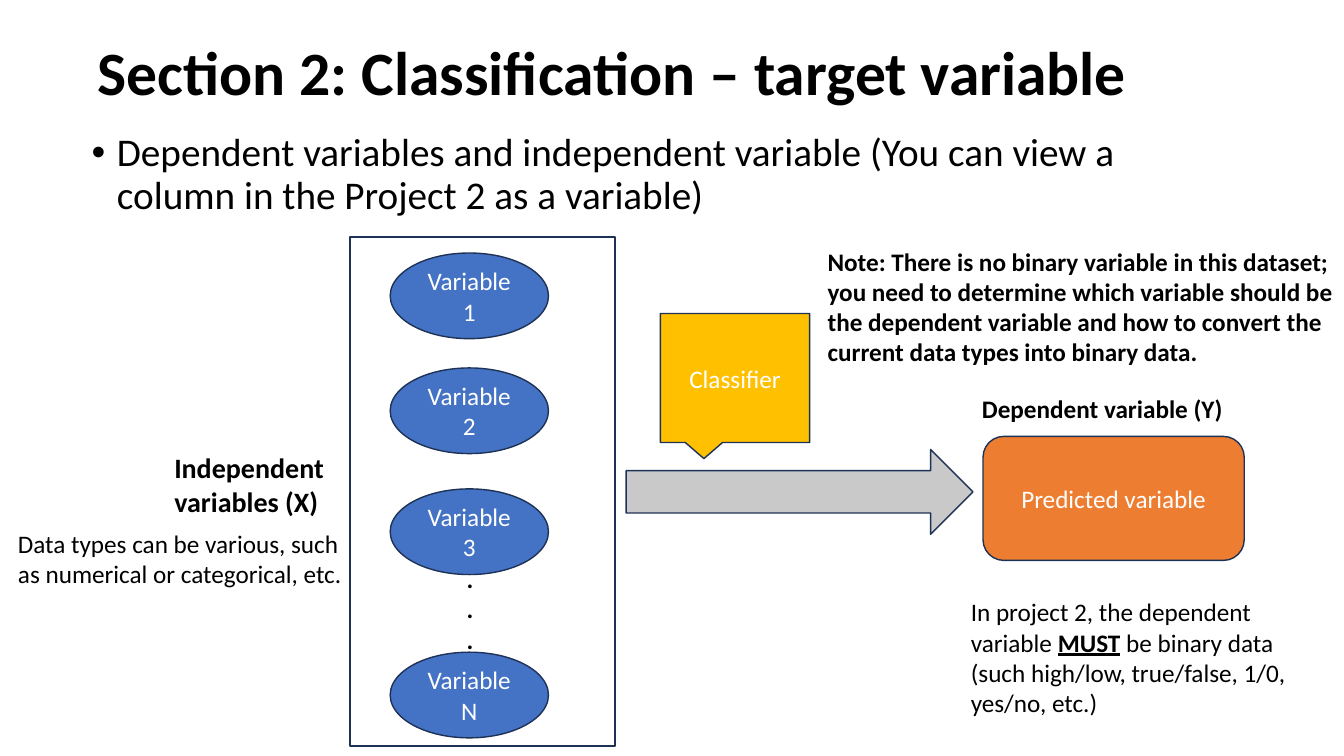
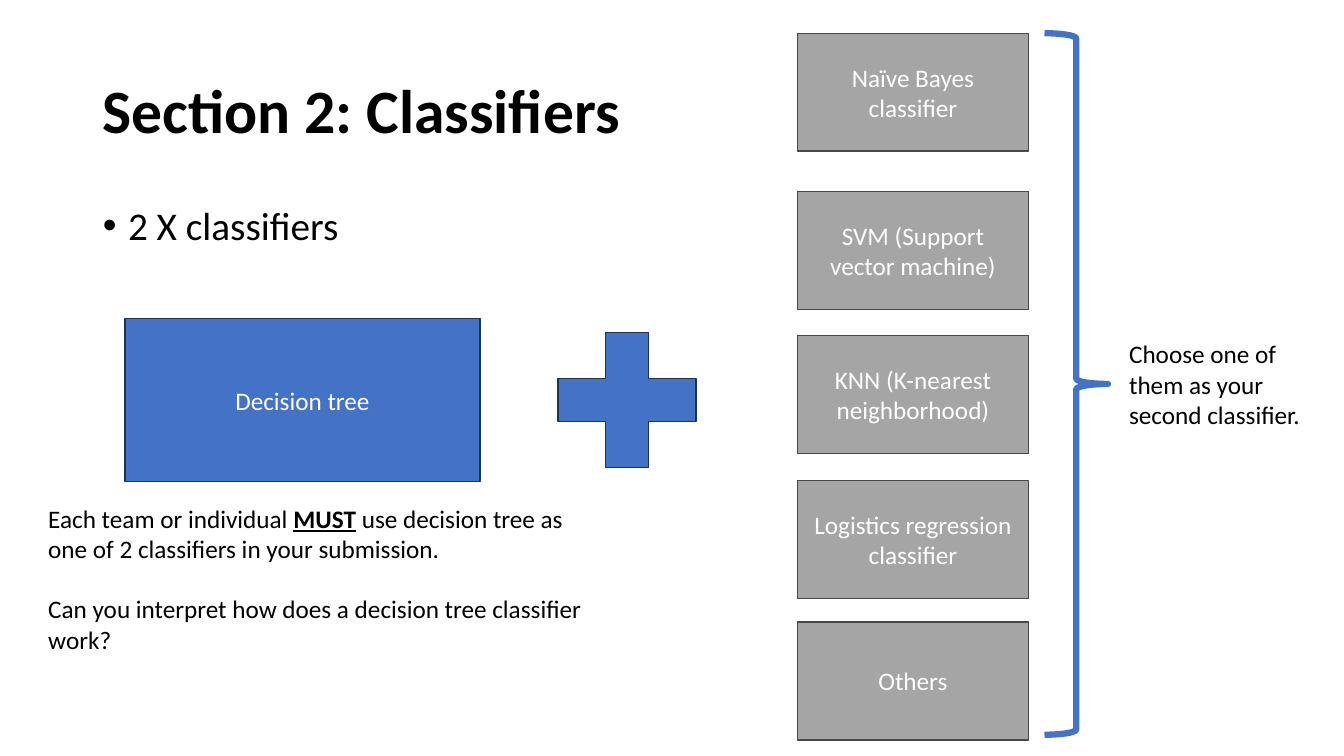
"""Build two slides on classification: the target variable and the classifiers."""
from dataclasses import dataclass

from pptx import Presentation
from pptx.dml.color import RGBColor
from pptx.enum.shapes import MSO_SHAPE as Shape
from pptx.enum.text import MSO_ANCHOR as Anchor, MSO_AUTO_SIZE as AutoSize, PP_ALIGN as Align
from pptx.util import Inches, Pt


@dataclass(frozen=True)
class Theme:
    font: str = "Calibri"
    ink: str = "000000"
    paper: str = "FFFFFF"
    blue: str = "4472C4"
    navy: str = "1E3256"
    orange: str = "ED7D31"
    gold: str = "FFC000"
    silver: str = "C9C9C9"
    gray: str = "A5A5A5"
    charcoal: str = "484848"
    title: int = 44
    bullet: int = 28
    heading: int = 20
    text: int = 18
    outline: float = 1
    brace: float = 4.5


THEME = Theme()
SLIDE = (13.33, 7.5)
PLACEHOLDER_WIDTH, TITLE_HEIGHT, BODY_HEIGHT = 11.5, 1.45, 4.76
BULLET_INDENT = 0.25

MUST = ("MUST", {"bold": True, "underline": True})

TARGET = {
    "title": ("Section 2: Classification – target variable", 0.87, 0.02),
    "bullet": ("Dependent variables and independent variable "
               "(You can view a column in the Project 2 as a variable)", 0.81, 1.27),
}
VARIABLES = [("Variable 1", 2.51), ("Variable 2", 3.65), ("Variable 3", 4.85), ("Variable N", 6.47)]
VARIABLE_LEFT, VARIABLE_SIZE = 3.87, (1.57, 0.85)
VARIABLE_FRAME = (3.47, 2.35, 2.63, 5.05)
PREDICTED = ("Predicted variable", (9.75, 4.33, 2.59, 1.23))
CLASSIFIER = ("Classifier", (6.55, 3.11, 1.48, 1.28))
ARROW = (6.21, 4.46, 3.44, 0.84)
BOLD = {"bold": True}
TARGET_NOTES = [
    ((4.53, 5.54, 2.92, 1.01), [["."], ["."], ["."]], BOLD),
    ((1.63, 4.42, 1.75, 0.77), [["Independent variables (X)"]], {"bold": True, "size": Pt(THEME.heading)}),
    ((0.08, 5.19, 3.46, 0.71), [["Data types can be various, such as numerical or categorical, etc."]], {}),
    ((9.53, 5.87, 3.61, 1.31), [["In project 2, the dependent variable ", MUST,
                                " be binary data (such high/low, true/false, 1/0, yes/no, etc.)"]], {}),
    ((8.11, 2.39, 5.55, 1.31), [["Note: There is no binary variable in this dataset; you need to determine "
                                "which variable should be the dependent variable and how to convert the "
                                "current data types into binary data."]], BOLD),
    ((9.64, 3.85, 3.18, 0.4), [["Dependent variable (Y)"]], BOLD),
]

CLASSIFIERS = {
    "title": ("Section 2: Classifiers", 0.92, 0.4),
    "bullet": ("2 X classifiers", 0.92, 2),
}
DECISION_TREE = ("Decision tree", (1.24, 3.16, 3.52, 1.62))
PLUS = (5.29, 3.06, 1.86, 1.82)
CHOICES = [
    ("Naïve Bayes classifier", 0.33),
    ("SVM (Support vector machine)", 1.9),
    ("KNN (K-nearest neighborhood)", 3.33),
    ("Logistics regression classifier", 4.77),
    ("Others", 6.17),
]
CHOICE_LEFT, CHOICE_SIZE = 7.91, (2.29, 1.17)
BRACE = (10.36, 0.33, 0.63, 6.96)
TREE_GAP = 21.6
TREE_NOTE = ((0.38, 4.94, 5.68, 1.92), [
    ["Each team or individual ", MUST, " use decision tree as one of 2 classifiers in your submission."],
    ["Can you interpret how does a decision tree classifier work?"],
])
CHOICE_NOTE = ((11.1, 3.31, 1.99, 1.01), [["Choose one of them as your second classifier."]])


def apply(target, values):
    for name, value in values.items():
        setattr(target, name, value)


def inches(box):
    return [Inches(length) for length in box]


def write(paragraph, text, color=THEME.ink, **font_values):
    run = paragraph.add_run()
    run.text = text
    apply(run.font, {"name": THEME.font, "size": Pt(THEME.text), **font_values})
    run.font.color.rgb = RGBColor.from_string(color)


def fill_placeholder(holder, content, height, paragraph_values, anchor, **font_values):
    text, left, top = content
    apply(holder, dict(zip(("left", "top", "width", "height"),
                           inches((left, top, PLACEHOLDER_WIDTH, height)))))
    frame = holder.text_frame
    apply(frame, {"auto_size": AutoSize.NONE, "word_wrap": True, "vertical_anchor": anchor})
    paragraph = frame.paragraphs[0]
    apply(paragraph, {"alignment": Align.LEFT, "line_spacing": 0.9, **paragraph_values})
    write(paragraph, text, **font_values)
    return paragraph


def start_slide(deck, content):
    slide = deck.slides.add_slide(deck.slide_layouts[1])
    title, body = slide.placeholders
    fill_placeholder(title, content["title"], TITLE_HEIGHT, {}, Anchor.MIDDLE,
                     size=Pt(THEME.title), bold=True)
    bullet = fill_placeholder(body, content["bullet"], BODY_HEIGHT, {"space_before": Pt(10)},
                              Anchor.TOP, size=Pt(THEME.bullet))
    indent = Inches(BULLET_INDENT)
    properties = bullet._p.get_or_add_pPr()
    properties.set("marL", str(indent))
    properties.set("indent", str(-indent))
    return slide


def add_figure(slide, kind, box, fill=None, text="", line=THEME.navy, weight=THEME.outline):
    figure = slide.shapes.add_shape(kind, *inches(box))
    figure.shadow.inherit = False
    if fill:
        figure.fill.solid()
        figure.fill.fore_color.rgb = RGBColor.from_string(fill)
    else:
        figure.fill.background()
    figure.line.color.rgb = RGBColor.from_string(line)
    figure.line.width = Pt(weight)
    if text:
        apply(figure.text_frame, {"word_wrap": True, "vertical_anchor": Anchor.MIDDLE})
        paragraph = figure.text_frame.paragraphs[0]
        paragraph.alignment = Align.CENTER
        write(paragraph, text, THEME.paper)


def add_note(slide, box, paragraphs, font_values=None, gap=0):
    frame = slide.shapes.add_textbox(*inches(box)).text_frame
    frame.word_wrap = True
    for index, pieces in enumerate(paragraphs):
        paragraph = frame.add_paragraph() if index else frame.paragraphs[0]
        paragraph.space_before = Pt(gap if index else 0)
        for piece in pieces:
            text, emphasis = (piece, {}) if isinstance(piece, str) else piece
            write(paragraph, text, **{**(font_values or {}), **emphasis})


def build_target(deck):
    slide = start_slide(deck, TARGET)
    label, box = PREDICTED
    add_figure(slide, Shape.ROUNDED_RECTANGLE, box, THEME.orange, label)
    for label, top in VARIABLES:
        add_figure(slide, Shape.OVAL, (VARIABLE_LEFT, top, *VARIABLE_SIZE), THEME.blue, label)
    add_figure(slide, Shape.RECTANGLE, VARIABLE_FRAME)
    for note in TARGET_NOTES:
        add_note(slide, *note)
    add_figure(slide, Shape.RIGHT_ARROW, ARROW, THEME.silver)
    label, box = CLASSIFIER
    add_figure(slide, Shape.RECTANGULAR_CALLOUT, box, THEME.gold, label)


def build_classifiers(deck):
    slide = start_slide(deck, CLASSIFIERS)
    label, box = DECISION_TREE
    add_figure(slide, Shape.RECTANGLE, box, THEME.blue, label)
    add_note(slide, *TREE_NOTE, gap=TREE_GAP)
    add_figure(slide, Shape.MATH_PLUS, PLUS, THEME.blue)
    for label, top in CHOICES:
        add_figure(slide, Shape.RECTANGLE, (CHOICE_LEFT, top, *CHOICE_SIZE),
                   THEME.gray, label, THEME.charcoal)
    add_figure(slide, Shape.RIGHT_BRACE, BRACE, line=THEME.blue, weight=THEME.brace)
    add_note(slide, *CHOICE_NOTE)


def main():
    deck = Presentation()
    apply(deck, dict(zip(("slide_width", "slide_height"), inches(SLIDE))))
    build_target(deck)
    build_classifiers(deck)
    deck.save("out.pptx")


main()
